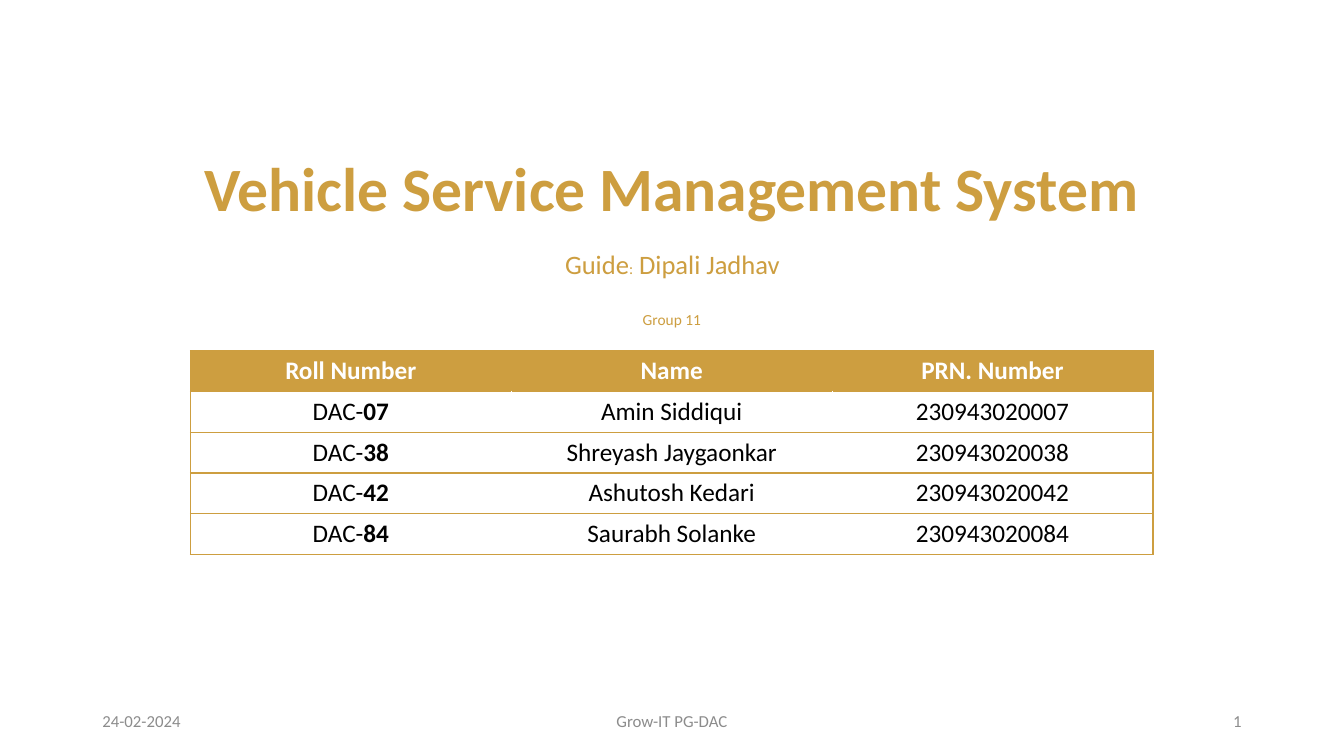
import pptx
import pptx.dml.color
import pptx.enum.text
import pptx.oxml
import pptx.oxml.ns
import pptx.util

RGBColor = pptx.dml.color.RGBColor
GOLD = RGBColor(0xCD, 0x9E, 0x40)
WHITE = RGBColor(0xFF, 0xFF, 0xFF)
BLACK = RGBColor(0, 0, 0)
GREY = RGBColor(0x8C, 0x8C, 0x8C)
ALIGN = pptx.enum.text.PP_ALIGN
ANCHOR = pptx.enum.text.MSO_ANCHOR

HEADINGS = ["Roll Number", "Name", "PRN. Number"]
MEMBERS = [
    ("07", "Amin Siddiqui"),
    ("38", "Shreyash Jaygaonkar"),
    ("42", "Ashutosh Kedari"),
    ("84", "Saurabh Solanke"),
]
FOOTERS = [
    ("24-02-2024", 11, 36, ALIGN.LEFT),
    ("Grow-IT PG-DAC", 53, 54, ALIGN.CENTER),
    ("1", 113, 36, ALIGN.RIGHT),
]


class TitlePage:
    """Place styled elements on one slide, measured on a 160 by 150 grid."""

    columns, rows = 160, 150
    font_name = "Calibri"

    def __init__(self, deck):
        self.cell_width = deck.slide_width / self.columns
        self.cell_height = deck.slide_height / self.rows
        self.page = deck.slides.add_slide(deck.slide_layouts[5])

    def area(self, column, row, width, height):
        return (
            round(column * self.cell_width),
            round(row * self.cell_height),
            round(width * self.cell_width),
            round(height * self.cell_height),
        )

    def fill_text(self, frame, spans, align=ALIGN.CENTER, spacing=1.0):
        para = frame.paragraphs[0]
        para.alignment, para.line_spacing = align, spacing
        for text, size, color, bold in spans:
            span = para.add_run()
            span.text = text
            span.font.color.rgb = color
            style = {"name": self.font_name, "size": pptx.util.Pt(size), "bold": bold}
            for key, value in style.items():
                setattr(span.font, key, value)

    def title(self, area, spans):
        box = self.page.shapes.title
        for key, value in zip(("left", "top", "width", "height"), self.area(*area)):
            setattr(box, key, value)
        format_values = {
            "word_wrap": True,
            "auto_size": pptx.enum.text.MSO_AUTO_SIZE.NONE,
            "vertical_anchor": ANCHOR.BOTTOM,
            "margin_bottom": pptx.util.Inches(0.71),
        }
        for key, value in format_values.items():
            setattr(box.text_frame, key, value)
        self.fill_text(box.text_frame, spans, spacing=0.9)

    def text(self, area, spans, align=ALIGN.CENTER, anchor=ANCHOR.MIDDLE, spacing=1.0):
        frame = self.page.shapes.add_textbox(*self.area(*area)).text_frame
        frame.word_wrap, frame.vertical_anchor = True, anchor
        self.fill_text(frame, spans, align, spacing)

    def border(self, cell, sides):
        properties = cell._tc.get_or_add_tcPr()
        for position, (side, color) in enumerate(sides.items()):
            line = pptx.oxml.parse_xml(
                f'<a:{side} {pptx.oxml.ns.nsdecls("a")} w="12700"><a:solidFill>'
                f'<a:srgbClr val="{color}"/></a:solidFill></a:{side}>'
            )
            properties.insert(position, line)

    def table(self, area, records):
        last = len(records[0]) - 1
        table = self.page.shapes.add_table(
            len(records), last + 1, *self.area(*area)
        ).table
        table.horz_banding = False
        for row, record in enumerate(records):
            inner = WHITE if row else GOLD
            for column, spans in enumerate(record):
                cell = table.cell(row, column)
                cell.vertical_anchor = ANCHOR.MIDDLE
                cell.fill.solid()
                cell.fill.fore_color.rgb = inner
                self.fill_text(cell.text_frame, spans)
                self.border(cell, {
                    "lnL": inner if column else GOLD,
                    "lnR": inner if column < last else GOLD,
                    "lnT": GOLD,
                    "lnB": GOLD,
                })


def main():
    deck = pptx.Presentation()
    deck.slide_width = pptx.util.Inches(13.33)
    deck.slide_height = pptx.util.Inches(7.5)
    page = TitlePage(deck)

    page.title(
        (0, 26.6, 160, 32.2),
        [("Vehicle Service Management System", 44, GOLD, True)],
    )
    guide = [("Guide", 19), (":", 11), (" Dipali Jadhav", 19)]
    page.text(
        (26.75, 49, 106.6, 7.8),
        [(text, size, GOLD, False) for text, size in guide],
        anchor=ANCHOR.TOP,
        spacing=0.9,
    )
    page.text((20, 60.4, 120, 5.8), [("Group 11", 11, GOLD, False)])

    records = [[[(heading, 18, WHITE, True)] for heading in HEADINGS]]
    for number, name in MEMBERS:
        records.append([
            [("DAC-", 18, BLACK, False), (number, 18, BLACK, True)],
            [(name, 18, BLACK, False)],
            [(f"2309430200{number}", 18, BLACK, False)],
        ])
    page.table((22.67, 69.6, 114.6, 40.4), records)

    for text, column, width, align in FOOTERS:
        page.text((column, 139, width, 8), [(text, 12, GREY, False)], align)
    deck.save("out.pptx")


if __name__ == "__main__":
    main()
